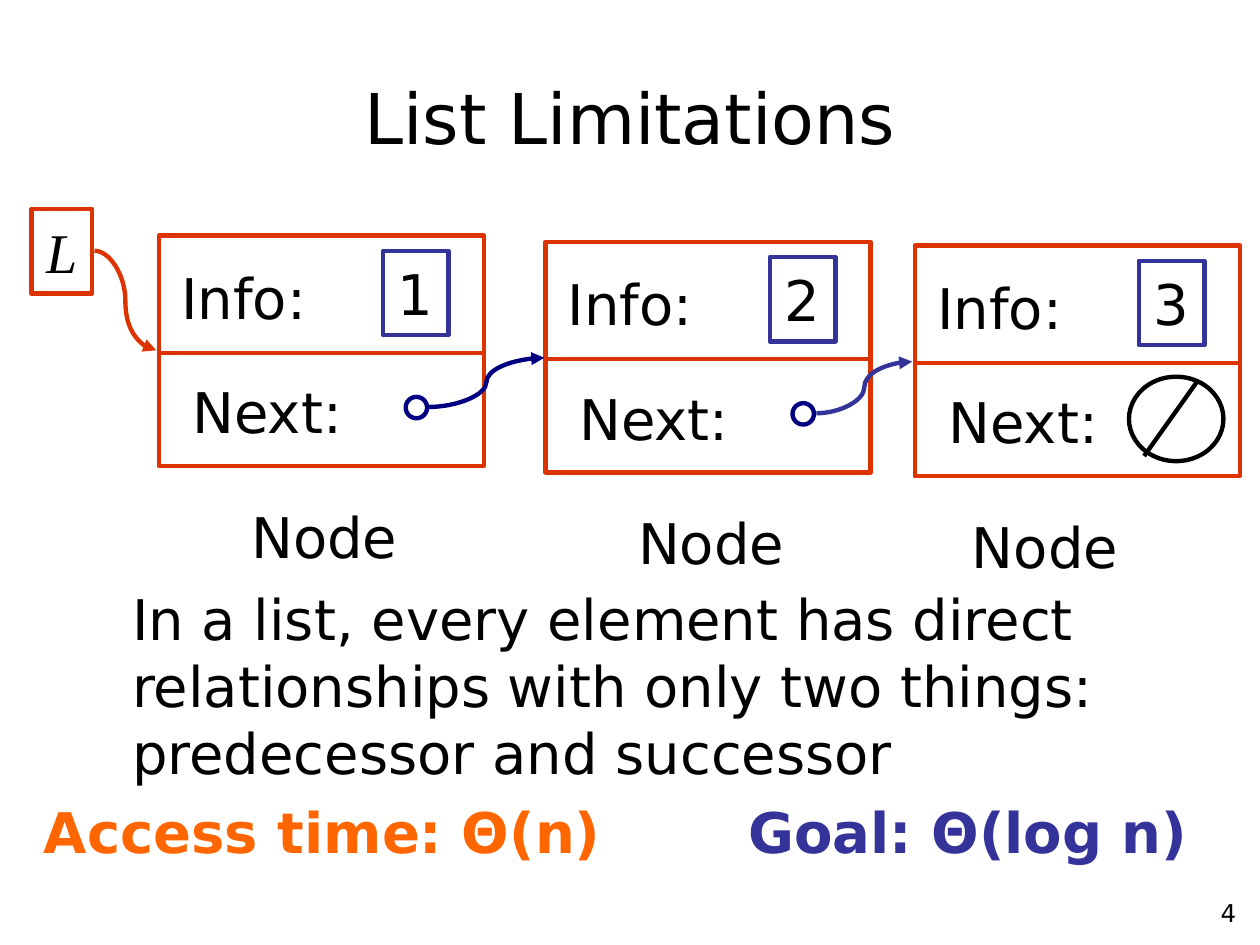
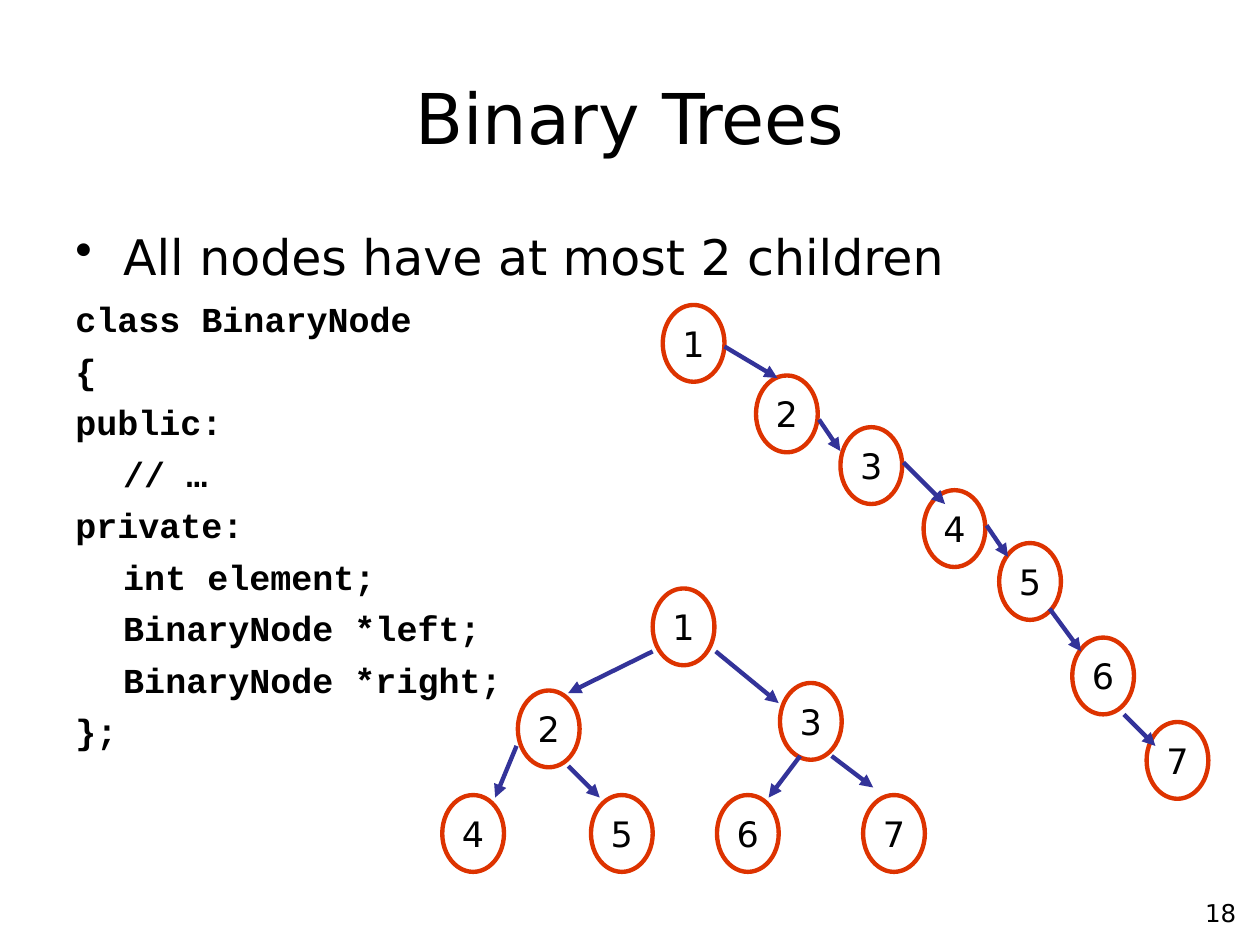
from pptx import Presentation
from pptx.dml.color import RGBColor
from pptx.enum.shapes import MSO_CONNECTOR, MSO_SHAPE
from pptx.enum.text import MSO_ANCHOR, PP_ALIGN
from pptx.oxml.ns import qn
from pptx.util import Inches, Pt
from lxml.etree import SubElement

RED = RGBColor(0xDD, 0x33, 0x00)
BLUE = RGBColor(0x33, 0x33, 0x99)
NAVY = RGBColor(0x00, 0x00, 0x80)
ORANGE = RGBColor(0xFF, 0x66, 0x00)
BLACK = RGBColor(0x00, 0x00, 0x00)
SANS, SERIF, MONO = "DejaVu Sans", "Times New Roman", "Courier New"
STROKE = Pt(2.5)
LEFT, MID, RIGHT = PP_ALIGN.LEFT, PP_ALIGN.CENTER, PP_ALIGN.RIGHT
RECT, OVAL = MSO_SHAPE.RECTANGLE, MSO_SHAPE.OVAL
LINE, CURVE = MSO_CONNECTOR.STRAIGHT, MSO_CONNECTOR.CURVE


def put(slide, box, words="", size=32, kind=None, edge=RED, color=BLACK,
        face=SANS, align=LEFT, bold=False):
    """Add an outlined shape, or a plain text box when kind is None."""
    area = [Inches(n) for n in box]
    if kind is None:
        item = slide.shapes.add_textbox(*area)
    else:
        item = slide.shapes.add_shape(kind, *area)
        item.shadow.inherit = False
        item.fill.background()
        item.line.color.rgb = edge
        item.line.width = STROKE
    frame = item.text_frame
    frame.word_wrap = kind is None
    if words:
        para = frame.paragraphs[0]
        para.text = words
        para.alignment = align if kind is None else MID
        font = para.font
        font.name, font.size, font.bold = face, Pt(size), bold
        font.color.rgb = color
        font.italic = face == SERIF
    return item


def link(slide, ends, color=BLUE, kind=LINE, arrow=True):
    """Join two points, given as x1, y1, x2, y2."""
    item = slide.shapes.add_connector(kind, *[Inches(n) for n in ends])
    item.line.color.rgb = color
    item.line.width = STROKE
    props = item._element.spPr
    if arrow:
        SubElement(props.find(qn("a:ln")), qn("a:tailEnd"), type="triangle")
    SubElement(props, qn("a:effectLst"))


deck = Presentation()
deck.slide_width, deck.slide_height = Inches(10), Inches(7.5)

# Titles and slide numbers
slides = []
for name, number in [("List Limitations", "4"), ("Binary Trees", "18")]:
    slide = deck.slides.add_slide(deck.slide_layouts[5])
    title = slide.shapes.title
    title.left, title.top = Inches(0.5), Inches(0.3)
    title.width, title.height = Inches(9), Inches(1.25)
    title.text_frame.vertical_anchor = MSO_ANCHOR.MIDDLE
    para = title.text_frame.paragraphs[0]
    para.text = name
    para.alignment = MID
    para.font.name, para.font.size = SANS, Pt(40)
    para.font.color.rgb = BLACK
    put(slide, (7.83, 7.08, 2.08, 0.37), number, 14, align=RIGHT)
    slides.append(slide)
chain, trees = slides

# Linked list: left and top of each node, and left of its caption
nodes = [(1.26, 1.87, 1.79), (4.33, 1.92, 4.86), (7.26, 1.95, 7.51)]
for value, (x, y, side) in enumerate(nodes, 1):
    put(chain, (x, y, 2.58, 1.83), kind=RECT)
    link(chain, (x, y + 0.93, x + 2.58, y + 0.93), RED, arrow=False)
    put(chain, (x + 0.08, y + 0.17, 1.3, 0.63), "Info:")
    put(chain, (x + 0.17, y + 1.08, 1.44, 0.63), "Next:")
    put(chain, (x + 1.78, y + 0.12, 0.52, 0.67), str(value), kind=RECT, edge=BLUE)
    put(chain, (side, y + 2.07, 1.57, 0.63), "Node", align=MID)
    if value < len(nodes):
        put(chain, (x + 1.96, y + 1.28, 0.17, 0.17), kind=OVAL, edge=NAVY)

# List head, pointers and empty end
put(chain, (0.25, 1.66, 0.48, 0.67), "L", kind=RECT, face=SERIF)
link(chain, (0.75, 1.99, 1.24, 2.78), RED, CURVE)
link(chain, (3.4, 3.23, 4.32, 2.84), NAVY, CURVE)
link(chain, (6.48, 3.28, 7.24, 2.87), BLUE, CURVE)
put(chain, (8.96, 2.99, 0.75, 0.67), kind=OVAL, edge=BLACK)
link(chain, (9.5, 3.03, 9.08, 3.62), BLACK, arrow=False)

# Conclusions
put(chain, (0.95, 4.59, 8.55, 1.7), "In a list, every element has direct "
    "relationships with only two things: predecessor and successor")
put(chain, (0.25, 6.28, 4.67, 0.64), "Access time: Θ(n)", color=ORANGE, bold=True)
put(chain, (5.84, 6.28, 3.73, 0.64), "Goal: Θ(log n)", color=BLUE, bold=True)

# Bullet and class code
code = ["class BinaryNode", "{", "public:", "\t// …", "private:", "\tint element;",
        "\tBinaryNode *left;", "\tBinaryNode *right;", "};"]
body = put(trees, (0.5, 1.75, 9, 4.95)).text_frame
for row, words in enumerate(["All nodes have at most 2 children"] + code):
    para = body.add_paragraph() if row else body.paragraphs[0]
    para.text = words
    props = para._p.get_or_add_pPr()
    props.set("marL", str(Inches(0.38)))
    props.set("indent", str(-Inches(0.38)))
    if row:
        para.space_before = Pt(7 if row == 1 else 5.4)
    else:
        SubElement(props, qn("a:buChar"), char="•")
    font = para.font
    font.name, font.size = (MONO, Pt(20)) if row else (SANS, Pt(28))
    font.bold = row > 0
    font.color.rgb = BLACK

# Balanced and one-sided trees: left and top of nodes 1 to 7
full = [(5.18, 4.67), (4.11, 5.48), (6.19, 5.42), (3.51, 6.31),
        (4.69, 6.31), (5.69, 6.31), (6.85, 6.31)]
slant = [(5.26, 2.42), (6, 2.98), (6.67, 3.39), (7.33, 3.89),
         (7.93, 4.31), (8.51, 5.06), (9.1, 5.73)]
for tree in (full, slant):
    for value, (x, y) in enumerate(tree, 1):
        put(trees, (x, y, 0.49, 0.61), str(value), 20, OVAL)

# Arrows from parent to child
arrows = [
    (5.68, 5.17, 6.18, 5.58), (5.18, 5.17, 4.51, 5.5), (4.1, 5.92, 3.93, 6.33),
    (4.51, 6.08, 4.76, 6.33), (6.35, 6, 6.1, 6.33), (6.6, 6, 6.93, 6.25),
    (5.75, 2.75, 6.17, 3), (6.5, 3.33, 6.67, 3.58), (7.17, 3.67, 7.5, 4),
    (7.83, 4.17, 8, 4.42), (8.33, 4.83, 8.58, 5.17), (8.92, 5.67, 9.17, 5.92),
]
for ends in arrows:
    link(trees, ends)

deck.save("out.pptx")
